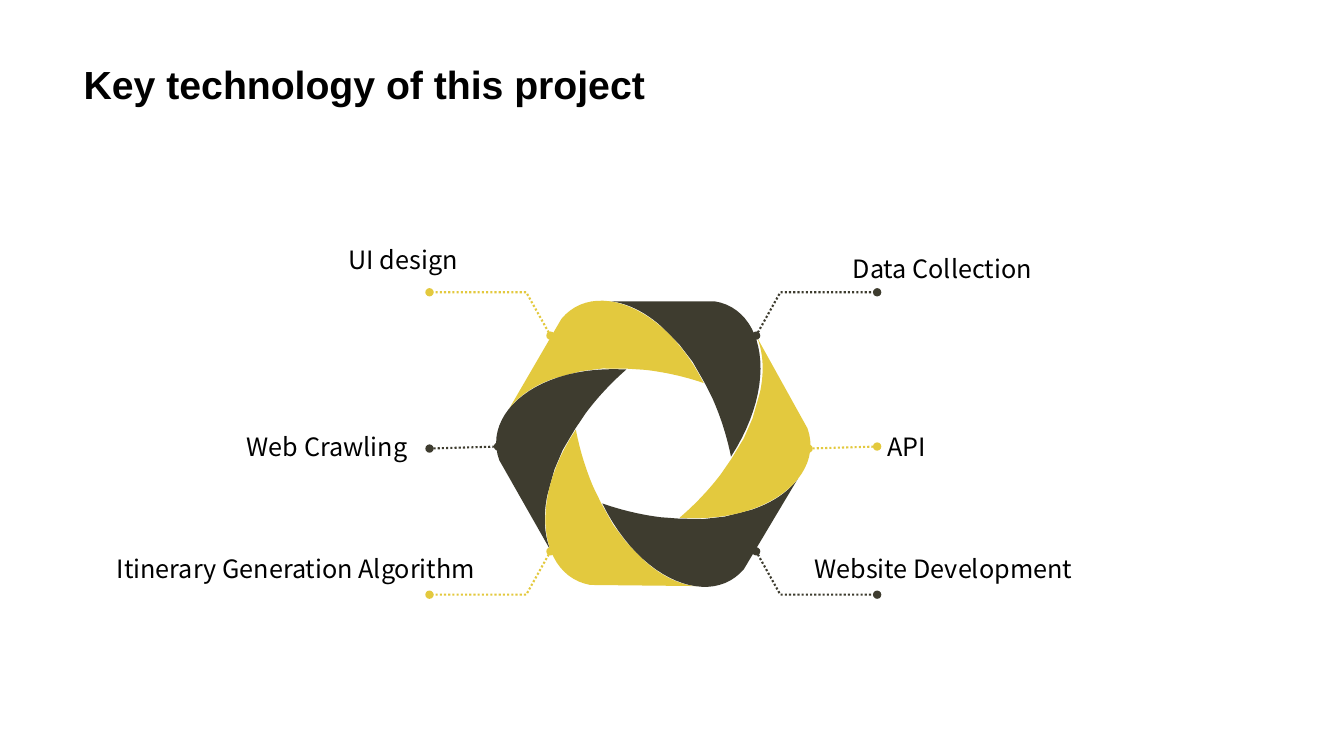
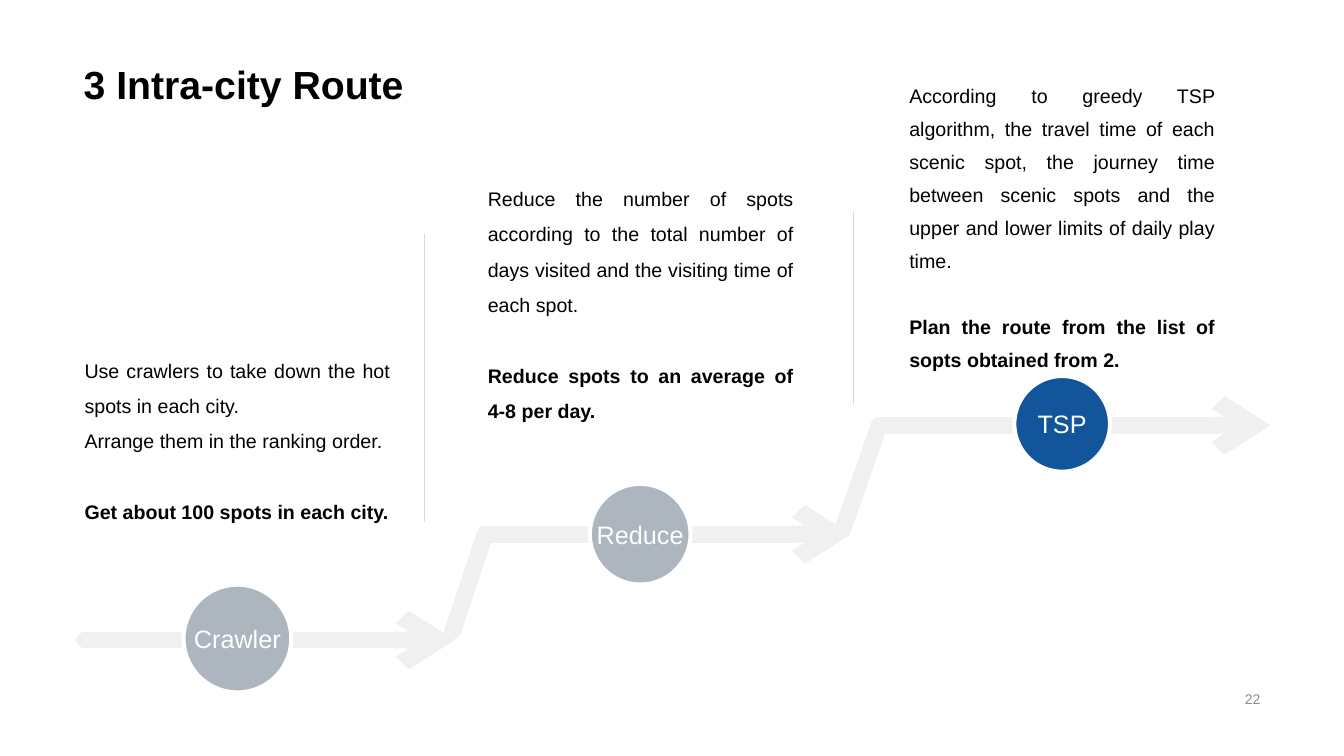
import math

from lxml import etree
from pptx import Presentation
from pptx.dml.color import RGBColor
from pptx.enum import dml, shapes, text
from pptx.oxml import ns
from pptx.util import Inches, Pt

COLORS = {
    "ink": "000000", "white": "FFFFFF", "yellow": "E3C93E", "dark": "3E3C2F",
    "track": "F0F0F0", "grey": "ADB5BF", "blue": "13559B", "rule": "D9D9D9",
    "number": "8C8C8C",
}
RGB = {name: RGBColor.from_string(value) for name, value in COLORS.items()}


def write(sp, paragraphs, size, color="ink", font="Arial", bold_last=False,
          box=None, **formats):
    """Fill a text frame; formats apply to every paragraph, box to the frame."""
    tf = sp.text_frame
    for name, value in (box or {}).items():
        setattr(tf, name, value)
    for i, line in enumerate(paragraphs):
        p = tf.paragraphs[0] if i == 0 else tf.add_paragraph()
        for name, value in formats.items():
            setattr(p, name, value)
        r = p.add_run()
        r.text = line
        r.font.name, r.font.size = font, Pt(size)
        r.font.color.rgb = RGB[color]
        r.font.bold = bold_last and i == len(paragraphs) - 1


def style_line(sp, color, width, dash=None, cap="flat", head=None, tail=None):
    """Format an open line, with arrowheads and without a shadow."""
    sp.line.color.rgb = RGB[color]
    sp.line.width = Pt(width)
    if dash:
        sp.line.dash_style = dash
    ln = sp.line._get_or_add_ln()
    ln.set("cap", cap)
    for tag, kind in (("a:headEnd", head), ("a:tailEnd", tail)):
        if kind:
            etree.SubElement(ln, ns.qn(tag), type=kind)
    if not sp._element.spPr.findall(ns.qn("a:effectLst")):
        etree.SubElement(sp._element.spPr, ns.qn("a:effectLst"))


prs = Presentation()
prs.slide_width, prs.slide_height = Inches(13.33), Inches(7.5)

slides = []
for heading in ("Key technology of this project", "3 Intra-city Route"):
    s = prs.slides.add_slide(prs.slide_layouts[5])
    title = s.shapes.title
    title.left, title.top = Inches(0.73), Inches(0)
    title.width, title.height = Inches(11.87), Inches(1.12)
    write(title, [heading], 28, bold_last=True,
          box={"vertical_anchor": text.MSO_ANCHOR.BOTTOM},
          alignment=text.PP_ALIGN.LEFT, line_spacing=0.9)
    slides.append(s)
technology, route = slides

# Technology: one blade outline, turned six times about the centre
CX, CY = 6.48, 4.4
BLADE = [  # a point, or the three further points of a Bezier curve
    [(6.04, 2.99)],
    [(7.09, 2.99)],
    [(7.58, 3.07), (7.73, 3.79), (7.25, 4.53)],
    [(7.23, 4.43), (7.18, 4.21), (7.07, 3.96)],
    [(6.99, 3.8)],
    [(6.87, 3.59)],
    [(6.74, 3.42)],
    [(6.55, 3.23)],
    [(6.39, 3.09), (6.22, 3.01), (6.06, 2.99)],
]
STEPS = 24
outline = []
for segment in BLADE:
    if len(segment) == 1:
        outline += segment
        continue
    curve = [outline[-1]] + segment
    for step in range(1, STEPS + 1):
        t = step / STEPS
        weights = [math.comb(3, k) * t ** k * (1 - t) ** (3 - k) for k in range(4)]
        outline.append(tuple(sum(w * pt[axis] for w, pt in zip(weights, curve))
                             for axis in (0, 1)))

for i in range(6):
    angle = math.radians(-59.8 * i)
    cos, sin = math.cos(angle), math.sin(angle)
    turned = [(Inches(CX + (x - CX) * cos - (y - CY) * sin),
               Inches(CY + (x - CX) * sin + (y - CY) * cos)) for x, y in outline]
    builder = technology.shapes.build_freeform(*turned[0])
    builder.add_line_segments(turned[1:], close=True)
    blade = builder.convert_to_shape()
    blade.shadow.inherit = False
    blade.fill.solid()
    blade.fill.fore_color.rgb = RGB["yellow" if i % 2 else "dark"]
    blade.line.fill.background()

DOTTED = {"width": 1.5, "dash": dml.MSO_LINE.ROUND_DOT, "head": "oval", "tail": "oval"}
for side, color in ((-1, "yellow"), (1, "dark")):
    for up in (-1, 1):
        bend = [(Inches(CX + side * dx), Inches(CY + up * dy))
                for dx, dy in ((1.02, 1.07), (1.26, 1.5), (2.22, 1.5))]
        builder = technology.shapes.build_freeform(*bend[0])
        builder.add_line_segments(bend[1:], close=False)
        leader = builder.convert_to_shape()
        leader.shadow.inherit = False
        leader.fill.background()
        style_line(leader, color, **DOTTED)

for start, color in ((8.7, "yellow"), (4.94, "dark")):
    leader = technology.shapes.add_connector(
        shapes.MSO_CONNECTOR.STRAIGHT, Inches(start), Inches(4.43),
        Inches(start - 0.68), Inches(4.45))
    style_line(leader, color, **DOTTED)

for label, left, top, width in (
    ("UI design", 3.36, 2.37, 1.35),
    ("Web Crawling", 2.35, 4.23, 1.96),
    ("Itinerary Generation Algorithm", 1.06, 5.44, 4),
    ("Data Collection", 8.36, 2.46, 2.06),
    ("API", 8.7, 4.23, 0.61),
    ("Website Development", 7.98, 5.44, 2.89),
):
    sp = technology.shapes.add_textbox(
        Inches(left), Inches(top), Inches(width), Inches(0.4))
    write(sp, [label], 18, font="Noto Sans CJK SC",
          box={"word_wrap": False, "auto_size": text.MSO_AUTO_SIZE.SHAPE_TO_FIT_TEXT})

# Route: a rising track with three stations
TRACK = {"color": "track", "width": 12, "cap": "rnd"}
ARROW = {**TRACK, "tail": "arrow"}
RULE = {"color": "rule", "width": 0.25}
for x1, y1, x2, y2, look in (
    (8.72, 4.22, 8.36, 5.25, TRACK),
    (4.81, 5.3, 4.49, 6.26, TRACK),
    (0.84, 6.35, 4.51, 6.35, ARROW),
    (4.81, 5.3, 8.44, 5.3, ARROW),
    (8.73, 4.22, 12.6, 4.22, ARROW),
    (4.21, 2.32, 4.21, 5.18, RULE),
    (8.46, 2.09, 8.46, 4.01, RULE),
):
    line = route.shapes.add_connector(
        shapes.MSO_CONNECTOR.STRAIGHT, Inches(x1), Inches(y1), Inches(x2), Inches(y2))
    style_line(line, **look)

for name, left, top, size, color in (
    ("Crawler", 1.82, 5.8, 1.07, "grey"),
    ("Reduce", 5.85, 4.8, 1, "grey"),
    ("TSP", 10.06, 3.73, 0.95, "blue"),
):
    station = route.shapes.add_shape(
        shapes.MSO_SHAPE.OVAL, Inches(left), Inches(top), Inches(size), Inches(size))
    station.shadow.inherit = False
    station.fill.solid()
    station.fill.fore_color.rgb = RGB[color]
    station.line.color.rgb = RGB["white"]
    station.line.width = Pt(3)
    write(station, [name], 18, color="white", alignment=text.PP_ALIGN.CENTER,
          box={"word_wrap": False, "vertical_anchor": text.MSO_ANCHOR.MIDDLE})

for left, top, height, spacing, paragraphs in (
    (0.74, 3.39, 2.04, 1.5, [
        "Use crawlers to take down the hot spots in each city.",
        "Arrange them in the ranking order.",
        "Get about 100 spots in each city."]),
    (4.74, 1.69, 2.7, 1.5, [
        "Reduce the number of spots according to the total number of days visited "
        "and the visiting time of each spot.",
        "Reduce spots to an average of 4-8 per day."]),
    (8.92, 0.69, 2.7, 1.4, [
        "According to greedy TSP algorithm, the travel time of each scenic spot, "
        "the journey time between scenic spots and the upper and lower limits of "
        "daily play time.",
        "Plan the route from the list of sopts obtained from 2."]),
):
    sp = route.shapes.add_textbox(
        Inches(left), Inches(top), Inches(3.23), Inches(height))
    write(sp, paragraphs, 14, bold_last=True, box={"word_wrap": True},
          alignment=text.PP_ALIGN.JUSTIFY, line_spacing=spacing)
    sp.text_frame.paragraphs[-1].space_before = Pt(16.8 * spacing)

sp = route.shapes.add_textbox(Inches(9.42), Inches(6.82), Inches(3.18), Inches(0.23))
write(sp, ["22"], 10, color="number", alignment=text.PP_ALIGN.RIGHT,
      box={"word_wrap": True, "vertical_anchor": text.MSO_ANCHOR.MIDDLE})

prs.save("out.pptx")
